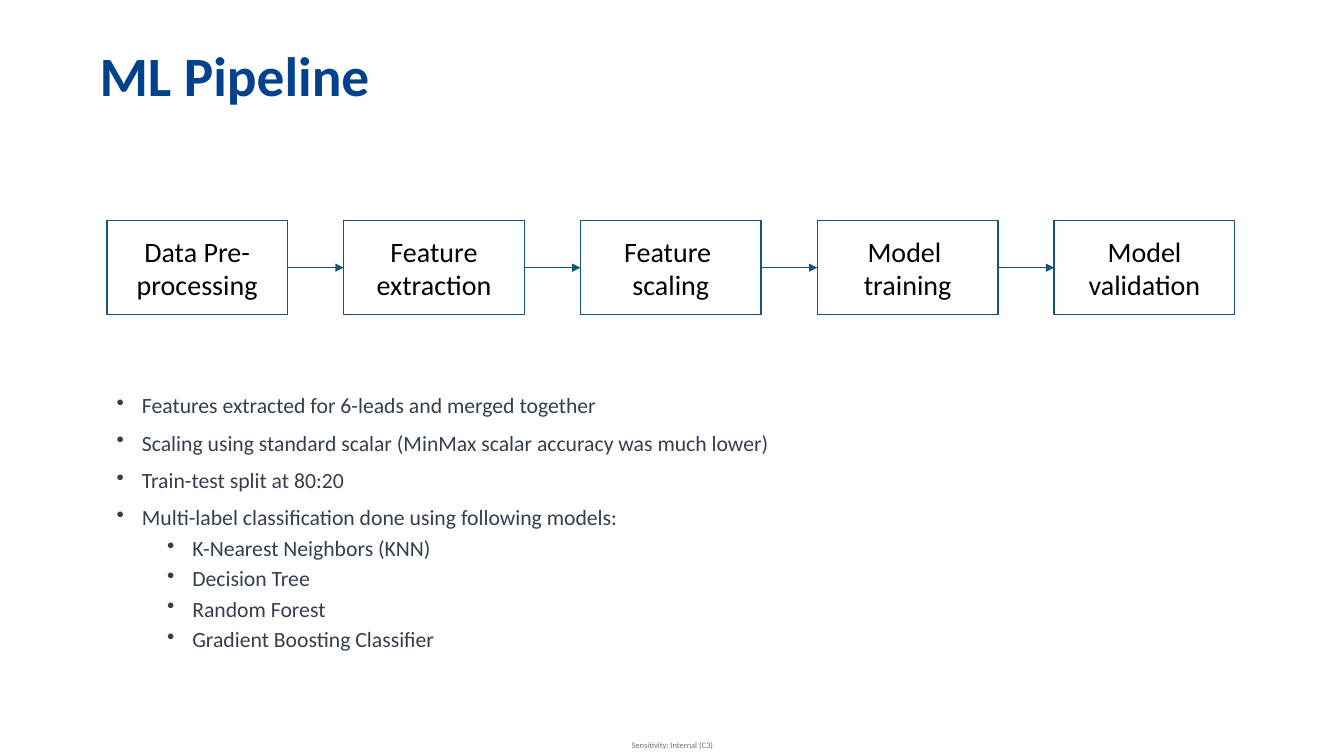
from pptx import Presentation
from pptx.dml.color import RGBColor
from pptx.enum.shapes import MSO_CONNECTOR as Link, MSO_SHAPE as Shape
from pptx.enum.text import MSO_ANCHOR as Anchor, PP_ALIGN as Align
from pptx.oxml.ns import qn
from pptx.util import Pt
from lxml.etree import SubElement as Sub

FONT = "Calibri"
NAVY = RGBColor(0x00, 0x43, 0x8C)
SLATE = RGBColor(0x33, 0x3F, 0x50)
STEEL = RGBColor(0x16, 0x53, 0x7F)
GREY = RGBColor(0x73, 0x73, 0x73)
BLACK = RGBColor(0, 0, 0)

STEPS = ["Data Pre-processing", "Feature extraction", "Feature \nscaling",
         "Model \ntraining", "Model validation"]
NOTES = [
    (0, "Features extracted for 6-leads and merged together"),
    (0, "Scaling using standard scalar (MinMax scalar accuracy was much lower)"),
    (0, "Train-test split at 80:20"),
    (0, "Multi-label classification done using following models:"),
    (1, "K-Nearest Neighbors (KNN)"),
    (1, "Decision Tree"),
    (1, "Random Forest"),
    (1, "Gradient Boosting Classifier"),
]


def style(para, size, color, bold=False):
    font = para.font
    font.name, font.size, font.bold = FONT, Pt(size), bold
    font.color.rgb = color


def add_text(slide, left, top, width, height, anchor=Anchor.TOP):
    box = slide.shapes.add_textbox(Pt(left), Pt(top), Pt(width), Pt(height))
    frame = box.text_frame
    frame.word_wrap = True
    frame.vertical_anchor = anchor
    return frame


def add_title(slide, left, top, width, height):
    frame = add_text(slide, left, top, width, height, Anchor.MIDDLE)
    para = frame.paragraphs[0]
    para.text = "ML Pipeline"
    para.line_spacing = 0.9
    style(para, 39.6, NAVY, True)


def add_step(slide, text, left, top, width, height):
    box = slide.shapes.add_shape(Shape.RECTANGLE, Pt(left), Pt(top), Pt(width), Pt(height))
    box.shadow.inherit = False
    box.fill.background()
    box.line.color.rgb = STEEL
    box.line.width = Pt(1)
    frame = box.text_frame
    frame.word_wrap = True
    frame.vertical_anchor = Anchor.MIDDLE
    frame.text = text
    for para in frame.paragraphs:
        para.alignment = Align.CENTER
        style(para, 20, BLACK)
    return box


def add_arrow(slide, start, end):
    arrow = slide.shapes.add_connector(Link.STRAIGHT, 0, 0, 0, 0)
    arrow.begin_connect(start, 3)
    arrow.end_connect(end, 1)
    arrow.line.color.rgb = STEEL
    arrow.line.width = Pt(0.5)
    Sub(arrow.line._get_or_add_ln(), qn("a:tailEnd"), type="triangle")
    Sub(arrow._element.spPr, qn("a:effectLst"))


def add_flow(slide, left, top, width, height):
    wide = 129
    pitch = (width - wide) / (len(STEPS) - 1)
    boxes = [add_step(slide, text, left + i * pitch, top, wide, height)
             for i, text in enumerate(STEPS)]
    for start, end in zip(boxes, boxes[1:]):
        add_arrow(slide, start, end)


def add_notes(slide, left, top, width, height):
    frame = add_text(slide, left, top, width, height)
    for i, (level, text) in enumerate(NOTES):
        para = frame.add_paragraph() if i else frame.paragraphs[0]
        para.text = text
        para.level = level
        para.line_spacing = 0.9
        para.space_before = Pt(5 if level else 10)
        style(para, 15.5, SLATE)
        # Bullet with a hanging indent
        props = para._p.get_or_add_pPr()
        props.set("marL", str(Pt(18 + 36 * level)))
        props.set("indent", str(-Pt(18)))
        bullet = Sub(props, qn("a:buChar"), char="•")
        props.remove(bullet)
        props.insert_element_before(bullet, "a:tabLst", "a:defRPr", "a:extLst")


def add_footer(slide, left, top, width, height):
    frame = add_text(slide, left, top, width, height, Anchor.MIDDLE)
    frame.margin_left = frame.margin_right = 0
    frame.margin_top = frame.margin_bottom = 0
    para = frame.paragraphs[0]
    para.text = "Sensitivity: Internal (C3)"
    para.alignment = Align.CENTER
    style(para, 6, GREY)


def main():
    deck = Presentation()
    deck.slide_width, deck.slide_height = Pt(960), Pt(540)
    slide = deck.slides.add_slide(deck.slide_layouts[6])
    add_footer(slide, 442.8, 524.8, 74.9, 15.1)
    add_title(slide, 64, 28.8, 830, 54)
    add_notes(slide, 76.3, 278.6, 828, 203.8)
    add_flow(slide, 76.3, 157.7, 805.7, 67)
    deck.save("out.pptx")


if __name__ == "__main__":
    main()
